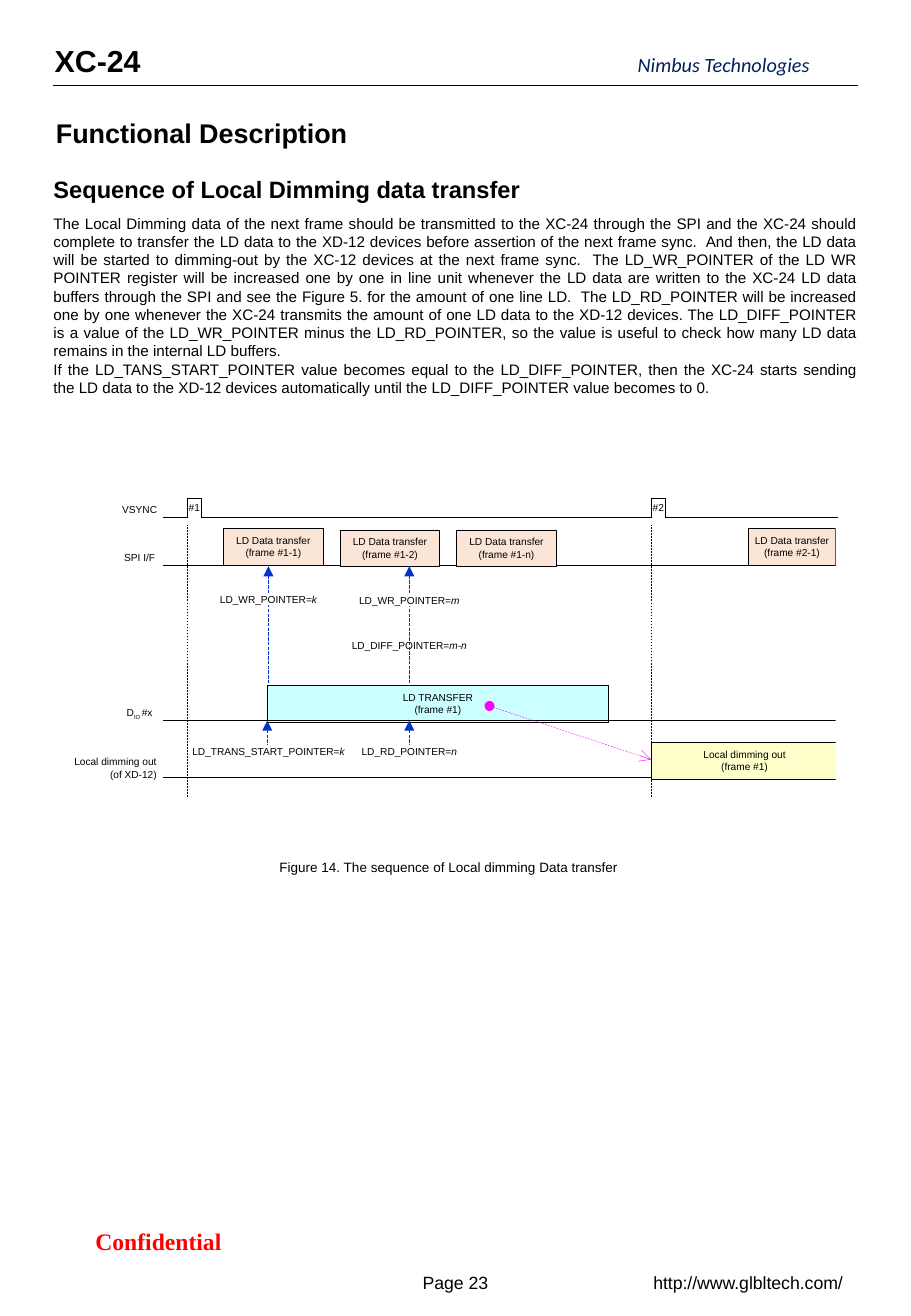
"""Builds the datasheet page on the local dimming data transfer sequence."""
import dataclasses
import itertools
import typing

import lxml.etree
import pptx
import pptx.dml.color
import pptx.enum.dml
import pptx.enum.shapes
import pptx.enum.text
import pptx.oxml.ns
import pptx.slide
import pptx.text.text
import pptx.util

COLS, ROWS = 75, 108.3
COLORS = {
    "ink": "000000", "paper": "FFFFFF", "navy": "002060", "alert": "FF0000",
    "data": "FBE5D6", "transfer": "CCFFFF", "output": "FFFFCC",
    "pointer": "0033CC", "link": "FF00FF",
}
ALIGN = pptx.enum.text.PP_ALIGN
ANCHOR = pptx.enum.text.MSO_ANCHOR
DASH = pptx.enum.dml.MSO_LINE
LEFT, RIGHT, PULSE_WIDTH, BOX_HEIGHT = 13.4, 69, 1.2, 3
VSYNC, SPI, DIO, DIMMING = 42.6, 46.5, 59.3, 64
PULSE_TOP = 41
FRAMES = (15.4, 53.6)
POINTER_SENTENCES = (
    "The Local Dimming data of the next frame should be transmitted to the XC-24 through the SPI and the XC-24 "
    "should complete to transfer the LD data to the XD-12 devices before assertion of the next frame sync. ",
    "And then, the LD data will be started to dimming-out by the XC-12 devices at the next frame sync. ",
    "The LD_WR_POINTER of the LD WR POINTER register will be increased one by one in line unit whenever the LD "
    "data are written to the XC-24 LD data buffers through the SPI and see the Figure 5. for the amount of one "
    "line LD. ",
    "The LD_RD_POINTER will be increased one by one whenever the XC-24 transmits the amount of one LD data to the "
    "XD-12 devices.",
    "The LD_DIFF_POINTER is a value of the LD_WR_POINTER minus the LD_RD_POINTER, so the value is useful to check "
    "how many LD data remains in the internal LD buffers.",
)
START_SENTENCE = (
    "If the LD_TANS_START_POINTER value becomes equal to the LD_DIFF_POINTER, then the XC-24 starts sending the "
    "LD data to the XD-12 devices automatically until the LD_DIFF_POINTER value becomes to 0."
)


@dataclasses.dataclass
class Piece:
    text: str
    italic: bool = False
    baseline: int = 0


@dataclasses.dataclass
class Area:
    col: float
    row: float
    cols: float
    rows: float


@dataclasses.dataclass
class Box:
    area: Area
    fill: str
    lines: tuple = ()
    line: str | None = "ink"
    spacing: float | None = None


@dataclasses.dataclass
class Stroke:
    start: tuple[float, float]
    end: tuple[float, float]
    color: str = "ink"
    width: float = 0.25
    dash: typing.Any = None
    head: str | None = None
    tail: str | None = None


@dataclasses.dataclass
class Label:
    area: Area
    lines: tuple
    style: dict = dataclasses.field(default_factory=dict)


prs = pptx.Presentation()
prs.slide_width, prs.slide_height = pptx.util.Inches(7.5), pptx.util.Inches(10.83)


def x(col: float) -> int:
    return round(prs.slide_width * col / COLS)


def y(row: float) -> int:
    return round(prs.slide_height * row / ROWS)


def rgb(name: str) -> pptx.dml.color.RGBColor:
    return pptx.dml.color.RGBColor.from_string(COLORS[name])


def frame(a: Area) -> tuple[int, int, int, int]:
    return x(a.col), y(a.row), x(a.cols), y(a.rows)


def write(tf: pptx.text.text.TextFrame, lines: tuple, *, size: float = 6, font: str = "Arial", color: str = "ink",
          bold: bool = False, italic: bool = False, aligns: tuple = (ALIGN.CENTER,), anchor: ANCHOR = ANCHOR.MIDDLE,
          inset: float = 0, wrap: bool = False, spacing: float | None = None) -> None:
    tf.auto_size = pptx.enum.text.MSO_AUTO_SIZE.NONE
    tf.word_wrap, tf.vertical_anchor = wrap, anchor
    tf.margin_left = tf.margin_right = 0
    tf.margin_top = tf.margin_bottom = pptx.util.Inches(inset)
    for i, line in enumerate(lines):
        p = tf.paragraphs[0] if i == 0 else tf.add_paragraph()
        p.alignment = aligns[min(i, len(aligns) - 1)]
        p.space_before = pptx.util.Pt(0)
        if spacing:
            p.line_spacing = pptx.util.Pt(spacing)
        for piece in (Piece(line),) if isinstance(line, str) else line:
            r = p.add_run()
            r.text = piece.text
            r.font.name, r.font.size = font, pptx.util.Pt(size)
            r.font.bold, r.font.italic = bold, italic or piece.italic
            r.font.color.rgb = rgb(color)
            if piece.baseline:
                r.font._element.set("baseline", str(piece.baseline))


def add_label(s: pptx.slide.Slide, label: Label) -> None:
    write(s.shapes.add_textbox(*frame(label.area)).text_frame, label.lines, **label.style)


def add_box(s: pptx.slide.Slide, box: Box) -> None:
    sp = s.shapes.add_shape(pptx.enum.shapes.MSO_SHAPE.RECTANGLE, *frame(box.area))
    sp.shadow.inherit = False
    sp.fill.solid()
    sp.fill.fore_color.rgb = rgb(box.fill)
    if box.line:
        sp.line.color.rgb = rgb(box.line)
        sp.line.width = pptx.util.Pt(0.25)
    else:
        sp.line.fill.background()
    write(sp.text_frame, box.lines, spacing=box.spacing)


def add_stroke(s: pptx.slide.Slide, k: Stroke) -> None:
    cn = s.shapes.add_connector(pptx.enum.shapes.MSO_CONNECTOR.STRAIGHT, x(k.start[0]), y(k.start[1]),
                                x(k.end[0]), y(k.end[1]))
    cn.line.color.rgb = rgb(k.color)
    cn.line.width = pptx.util.Pt(k.width)
    if k.dash:
        cn.line.dash_style = k.dash
    ln = cn.line._get_or_add_ln()
    for tag, kind in (("a:headEnd", k.head), ("a:tailEnd", k.tail)):
        if kind:
            lxml.etree.SubElement(ln, pptx.oxml.ns.qn(tag)).set("type", kind)
    lxml.etree.SubElement(cn._element.spPr, pptx.oxml.ns.qn("a:effectLst"))


def data_box(col: float, row: float, cols: float, name: str) -> Box:
    return Box(Area(col, row, cols, BOX_HEIGHT), "data", ("LD Data transfer", f"(frame #{name})"))


def pointer_box(col: float, row: float, cols: float, name: str, value: str) -> Box:
    return Box(Area(col, row, cols, 1), "paper", ((Piece(f"{name}="), Piece(value, italic=True)),), None, 8)


def pointer_arrow(col: float, top: float, bottom: float) -> Stroke:
    return Stroke((col, top), (col, bottom), "pointer", dash=DASH.LONG_DASH, head="triangle")


def baseline(row: float) -> Stroke:
    return Stroke((RIGHT, row), (LEFT, row))


def vsync() -> list[Stroke]:
    points = [(LEFT, VSYNC)]
    for col in FRAMES:
        end = col + PULSE_WIDTH
        points += [(col, VSYNC), (col, PULSE_TOP), (end, PULSE_TOP), (end, VSYNC)]
    points.append((RIGHT, VSYNC))
    return [Stroke(a, b) for a, b in itertools.pairwise(points)]


left = {"aligns": (ALIGN.LEFT,), "anchor": ANCHOR.TOP}
heading = left | {"bold": True, "inset": 0.05}
PAGE = [
    Label(Area(32.8, 103.8, 9.4, 3.4), ("Page 23",), {"size": 10.5}),
    Stroke((4.4, 7), (70.6, 7), width=0.5),
    Label(Area(52.2, 103.8, 18.8, 3.4), ("http://www.glbltech.com/",), {"size": 10.5}),
    Label(Area(3.4, 100.4, 19.3, 3.4), ("Confidential",),
          {"size": 14, "font": "Times New Roman", "color": "alert", "bold": True}),
    Label(Area(52.5, 4.3, 16, 2), ("Nimbus Technologies",),
          left | {"size": 12, "font": "Calibri", "color": "navy", "italic": True}),
    Label(Area(4.5, 3, 7.4, 4), ("XC-24",), heading | {"size": 18}),
    Label(Area(4.4, 13.9, 66.1, 3.4), ("Sequence of Local Dimming data transfer",), heading | {"size": 14}),
    Label(Area(23, 70.2, 28.6, 2.4), ("Figure 14. The sequence of Local dimming Data transfer",),
          left | {"size": 8, "inset": 0.05}),
]
DIAGRAM = [
    pointer_arrow(22.1, 46.6, 56.4), *vsync(), data_box(18.4, 43.5, 8.2, "1-1"),
    *(Label(Area(col - 0.1, 41.15, 1.4, 1.2), (f"#{n}",)) for n, col in enumerate(FRAMES, 1)),
    Label(Area(10, 41.3, 3, 1.2), ("VSYNC",)),
    Box(Area(22, 56.4, 28.1, BOX_HEIGHT), "transfer", ("LD TRANSFER", "(frame #1)")), baseline(DIO),
    Label(Area(10, 58.1, 3, 1.2), ((Piece("D"), Piece("IO ", baseline=-25000), Piece("#x")),)), baseline(SPI),
    Label(Area(10, 45.3, 3, 1.2), ("SPI I/F",)), data_box(61.6, 43.5, 7.2, "2-1"),
    Label(Area(6.1, 62.6, 6.8, 1.2), ("Local dimming out", "(of XD-12)"), {"aligns": (ALIGN.CENTER, ALIGN.RIGHT)}),
    baseline(DIMMING), Box(Area(53.6, 61.1, 15.4, BOX_HEIGHT), "output", ("Local dimming out", "(frame #1)")),
    Box(Area(68.8, 42.8, 0.6, 21.6), "paper", line=None),
    pointer_box(18, 48.8, 8.2, "LD_WR_POINTER", "k"),
    pointer_box(15.7, 61.3, 12.8, "LD_TRANS_START_POINTER", "k"),
    pointer_box(28.9, 52.6, 9.6, "LD_DIFF_POINTER", "m-n"),
    Stroke((40.3, 58.1), (53.6, 62.5), "link", dash=DASH.DASH, head="oval", tail="arrow"),
    pointer_arrow(22, DIO, 61.3), *(Stroke((col, 65.6), (col, 43.2), dash=DASH.DASH) for col in FRAMES),
    data_box(28, 43.6, 8.2, "1-2"), data_box(37.6, 43.6, 8.2, "1-n"),
    pointer_arrow(33.7, DIO, 61.3), pointer_box(29.7, 61.3, 8, "LD_RD_POINTER", "n"),
    pointer_arrow(33.7, 46.6, 56.4), pointer_box(29.5, 48.9, 8.4, "LD_WR_POINTER", "m"),
]


def main() -> None:
    s = prs.slides.add_slide(prs.slide_layouts[1])
    title, body = s.placeholders
    title.left, title.top, title.width, title.height = frame(Area(4.6, 9.1, 66.8, 3.7))
    write(title.text_frame, ("Functional Description",), size=16, **heading)
    body.left, body.top, body.width, body.height = frame(Area(4.4, 17.6, 66.1, 15.1))
    write(body.text_frame, (" ".join(POINTER_SENTENCES), START_SENTENCE), size=9, wrap=True,
          aligns=(ALIGN.JUSTIFY,), anchor=ANCHOR.TOP)
    for p in body.text_frame.paragraphs:
        pPr = p._p.get_or_add_pPr()
        pPr.set("marL", "0")
        pPr.set("indent", "0")
        lxml.etree.SubElement(pPr, pptx.oxml.ns.qn("a:buNone"))
    draw = {Label: add_label, Box: add_box, Stroke: add_stroke}
    for item in PAGE + DIAGRAM:
        draw[type(item)](s, item)
    prs.save("out.pptx")


if __name__ == "__main__":
    main()
